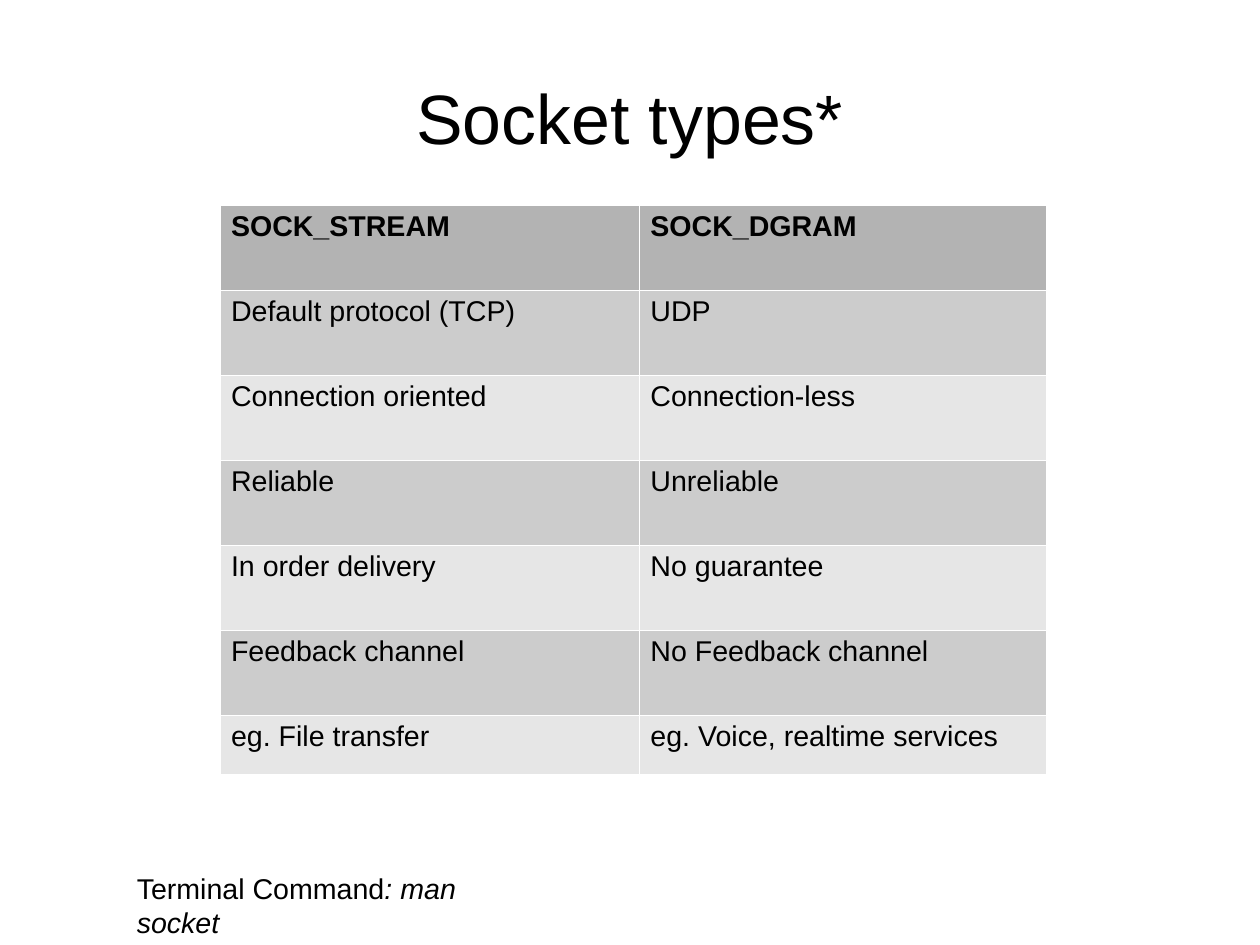
"""Build a slide that compares two socket types in a table."""
from dataclasses import dataclass

from lxml import etree
from pptx import Presentation
from pptx.dml.color import RGBColor
from pptx.enum.text import MSO_ANCHOR, PP_ALIGN
from pptx.oxml.ns import qn
from pptx.slide import Slide
from pptx.table import _Cell
from pptx.text.text import Font
from pptx.util import Cm, Pt

MIDDLE = MSO_ANCHOR.MIDDLE
CENTER = PP_ALIGN.CENTER


@dataclass(frozen=True)
class Theme:
    font: str = "Arial"
    ink: str = "000000"
    head: str = "B3B3B3"
    bands: tuple[str, str] = ("CCCCCC", "E6E6E6")
    rule: str = "FFFFFF"
    rule_size: float = 0.06
    title_size: int = 44
    body_size: int = 18


@dataclass(frozen=True)
class Piece:
    text: str
    italic: bool = False


@dataclass(frozen=True)
class Label:
    left: float
    top: float
    width: float
    height: float
    size: int
    pieces: tuple[Piece, ...]
    title: bool = False


THEME = Theme()
LABELS = (
    Label(1.4, 0.83, 25.2, 3.5, THEME.title_size, (Piece("Socket types*"),), title=True),
    Label(2.79, 19.23, 9.6, 0.97, THEME.body_size,
          (Piece("Terminal Command"), Piece(": man socket", italic=True))),
)
ROWS = (
    ("SOCK_STREAM", "SOCK_DGRAM"),
    ("Default protocol (TCP)", "UDP"),
    ("Connection oriented", "Connection-less"),
    ("Reliable", "Unreliable"),
    ("In order delivery", "No guarantee"),
    ("Feedback channel", "No Feedback channel"),
    ("eg. File transfer", "eg. Voice, realtime services"),
)
WIDTHS = (9.32, 9.04)
HEIGHTS = (1.89,) * (len(ROWS) - 1) + (1.32,)


def style(font: Font, size: int, bold: bool = False) -> None:
    font.name = THEME.font
    font.size = Pt(size)
    font.bold = bold
    font.color.rgb = RGBColor.from_string(THEME.ink)


def add_label(slide: Slide, label: Label) -> None:
    box = slide.shapes.add_textbox(
        Cm(label.left), Cm(label.top), Cm(label.width), Cm(label.height))
    frame = box.text_frame
    frame.word_wrap = label.title
    para = frame.paragraphs[0]
    if label.title:
        frame.vertical_anchor = MIDDLE
        frame.margin_left = frame.margin_right = 0
        frame.margin_top = frame.margin_bottom = 0
        para.alignment = CENTER
    style(para.font, label.size)
    for piece in label.pieces:
        run = para.add_run()
        run.text = piece.text
        if piece.italic:
            run.font.italic = True


def add_rules(cell: _Cell) -> None:
    props = cell._tc.get_or_add_tcPr()
    for side in ("a:lnL", "a:lnR", "a:lnT", "a:lnB"):
        line = etree.SubElement(props, qn(side), w=str(Pt(THEME.rule_size)))
        fill = etree.SubElement(line, qn("a:solidFill"))
        etree.SubElement(fill, qn("a:srgbClr"), val=THEME.rule)


def add_grid(slide: Slide) -> None:
    table = slide.shapes.add_table(
        len(ROWS), len(WIDTHS), Cm(4.88), Cm(4.55),
        Cm(sum(WIDTHS)), Cm(sum(HEIGHTS))).table
    for column, width in zip(table.columns, WIDTHS):
        column.width = Cm(width)
    for index, (row, height, texts) in enumerate(zip(table.rows, HEIGHTS, ROWS)):
        row.height = Cm(height)
        head = index == 0
        color = THEME.head if head else THEME.bands[(index - 1) % 2]
        for cell, text in zip(row.cells, texts):
            cell.text = text
            style(cell.text_frame.paragraphs[0].font, THEME.body_size, bold=head)
            add_rules(cell)
            cell.fill.solid()
            cell.fill.fore_color.rgb = RGBColor.from_string(color)


def main() -> None:
    deck = Presentation()
    deck.slide_width, deck.slide_height = Cm(28), Cm(21)
    slide = deck.slides.add_slide(deck.slide_layouts[6])
    title, note = LABELS
    add_label(slide, title)
    add_grid(slide)
    add_label(slide, note)
    deck.save("out.pptx")


if __name__ == "__main__":
    main()
